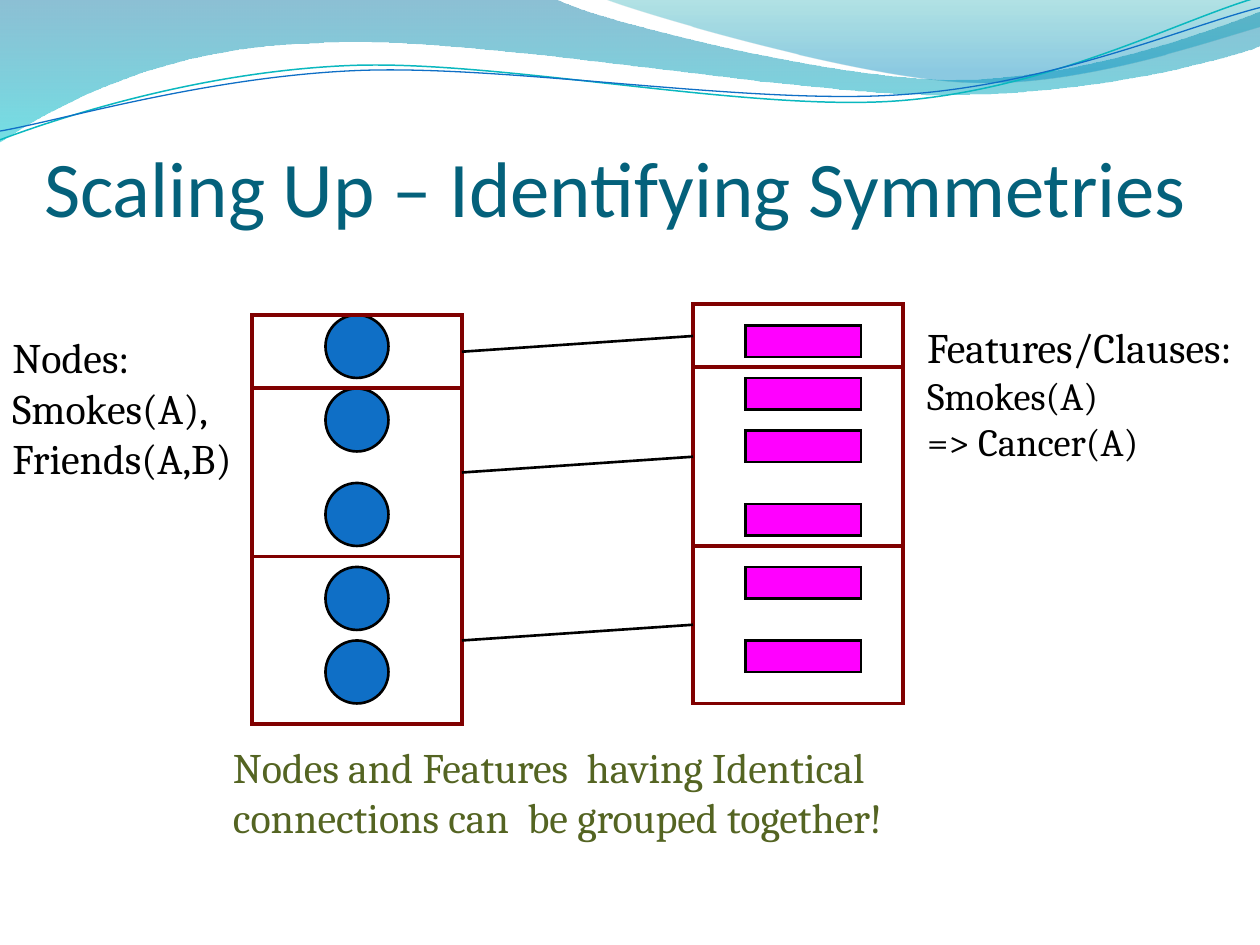
import math

from lxml import etree
from pptx import Presentation
from pptx.dml.color import RGBColor
from pptx.enum.shapes import MSO_CONNECTOR, MSO_SHAPE
from pptx.enum.text import MSO_ANCHOR, MSO_AUTO_SIZE, PP_ALIGN
from pptx.oxml.ns import qn
from pptx.util import Inches, Pt

STRAIGHT = MSO_CONNECTOR.STRAIGHT
ELLIPSE, RECTANGLE = MSO_SHAPE.OVAL, MSO_SHAPE.RECTANGLE

COLORS = {
    "title": "04617B", "text": "000000", "conclusion": "546422",
    "node": "0F6FC6", "feature": "FF00FF", "outline": "000000", "group": "800000",
    "teal line": "0AB8BF", "blue line": "0F6FC6",
    "band top": "0074A1", "band bottom": "00C6CF",
    "corner top": "00A1A9", "corner bottom": "008BBF",
}

TITLE = "Scaling Up – Identifying Symmetries"

# The diagram lies on a grid of twelfths of an inch
GRID = 1 / 12
GROUP_WIDTH = 20

# Each column, in grid units: group borders from top to bottom, then the tops of its items
COLUMNS = [
    {"left": 24, "borders": [30, 37, 53, 69], "shape": ELLIPSE, "color": "node",
     "item": (31, 6, 6), "tops": [46, 54, 37, 30, 61]},
    {"left": 66, "borders": [29, 35, 52, 67], "shape": RECTANGLE, "color": "feature",
     "item": (71, 11, 3), "tops": [36, 41, 48, 54, 61, 31]},
]

# Box (left, top, width, height) in inches, colour, lines of (text, size)
LABELS = [
    ((0, 31 * GRID, 2.08, 1.31), "text",
     [("Nodes:", 24), ("Smokes(A),", 24), ("Friends(A,B)", 24)]),
    ((7.26, 2.5, 2.74, 1.25), "text",
     [("Features/Clauses:", 24), ("Smokes(A)", 22), ("=> Cancer(A)", 22)]),
    ((1.75, 70 * GRID, 5.75, 0.91), "conclusion",
     [("Nodes and Features  having Identical", 24),
      ("connections can  be grouped together!", 24)]),
]

# Outlines: a 2-number step is a straight line, a 6-number step a Bezier curve
# Gradient stops: (position, colour, opacity in percent)
WAVES = [
    {"start": (0, 0),
     "steps": [(4.4, -0.01), (4.76, 0.17, 6.64, 0.63, 7.58, 0.63),
               (8.53, 0.63, 9.58, 0.26, 10, 0.09), (10.01, 0.36),
               (9.83, 0.44, 8.7, 0.76, 7.46, 0.75), (6.22, 0.75, 3.82, 0.28, 2.57, 0.34),
               (1.29, 0.36, 0.46, 0.83, -0.01, 1.13), (0, 0)],
     "stops": [(0, "band top", 45), (1, "band bottom", 55)]},
    {"start": (4.79, -0.01),
     "steps": [(5.09, 0.11, 6.82, 0.62, 7.69, 0.65), (8.56, 0.69, 9.61, 0.32, 10, 0.21),
               (10, 0), (4.79, -0.01)],
     "stops": [(0, "corner top", 30), (0.8, "corner bottom", 45)]},
    {"start": (0, 1.11),
     "steps": [(0.48, 0.93, 1.58, 0.57, 2.77, 0.52), (3.95, 0.47, 5.93, 0.89, 7.13, 0.8),
               (8.33, 0.71, 9.38, 0.15, 9.98, -0.02)],
     "line": ("teal line", 0.85), "center": (4.99, 0.575)},
    {"start": (0, 1.04),
     "steps": [(0.47, 0.96, 1.64, 0.61, 2.83, 0.56), (4.03, 0.51, 5.97, 0.84, 7.17, 0.75),
               (8.36, 0.67, 9.41, 0.21, 10, 0.06)],
     "line": ("blue line", 0.75), "center": (4.995, 0.59)},
]
LINE_TILT = -2.7


def rgb(name):
    return RGBColor.from_string(COLORS[name])


def grid_lengths(*units):
    return [Inches(unit * GRID) for unit in units]


def set_line(shape, color, width):
    shape.line.color.rgb = rgb(color)
    shape.line.width = Pt(width)


def rotate(point, center, degrees):
    angle = math.radians(degrees)
    x, y = point[0] - center[0], point[1] - center[1]
    return (center[0] + x * math.cos(angle) - y * math.sin(angle),
            center[1] + x * math.sin(angle) + y * math.cos(angle))


def bend_curves(shape, steps):
    """Turn each run of three segments that stands for a curve into a Bezier curve."""
    outline = next(shape.element.iter(qn("a:path")))
    segments = iter(outline.findall(qn("a:lnTo")))
    for step in steps:
        first = next(segments)
        if len(step) == 6:
            curve = etree.Element(qn("a:cubicBezTo"))
            first.addprevious(curve)
            for segment in (first, next(segments), next(segments)):
                curve.append(segment[0])
                outline.remove(segment)


def fill_gradient(shape, stops):
    shape.line.fill.background()
    shape.fill.gradient()
    shape.fill.gradient_angle = 270
    for stop, (position, color, _) in zip(shape.fill.gradient_stops, stops):
        stop.position = position
        stop.color.rgb = rgb(color)
    fills = shape.element.spPr.iter(qn("a:srgbClr"))
    for element, (_, _, opacity) in zip(fills, stops):
        etree.SubElement(element, qn("a:alpha"), val=str(opacity * 1000))


def add_wave(slide, wave):
    points = [wave["start"]]
    for step in wave["steps"]:
        points += zip(step[::2], step[1::2])
    if "center" in wave:
        points = [rotate(point, wave["center"], -LINE_TILT) for point in points]
    points = [(Inches(x), Inches(y)) for x, y in points]
    builder = slide.shapes.build_freeform(*points[0])
    builder.add_line_segments(points[1:], close="stops" in wave)
    shape = builder.convert_to_shape()
    shape.shadow.inherit = False
    bend_curves(shape, wave["steps"])
    if "stops" in wave:
        fill_gradient(shape, wave["stops"])
    else:
        shape.rotation = LINE_TILT
        shape.fill.background()
        set_line(shape, *wave["line"])


def add_box(slide, kind, box, line, fill=None):
    shape = slide.shapes.add_shape(kind, *grid_lengths(*box))
    shape.shadow.inherit = False
    if fill:
        shape.fill.solid()
        shape.fill.fore_color.rgb = rgb(fill)
    else:
        shape.fill.background()
    set_line(shape, *line)
    etree.SubElement(shape.element.spPr.find(qn("a:ln")), qn("a:miter"), lim="800000")


def add_column(slide, column):
    left, width, height = column["item"]
    for top in column["tops"]:
        add_box(slide, column["shape"], (left, top, width, height),
                ("outline", 1.5), column["color"])
    for top, bottom in zip(column["borders"], column["borders"][1:]):
        add_box(slide, RECTANGLE, (column["left"], top, GROUP_WIDTH, bottom - top),
                ("group", 2.25))


def group_middles(column):
    borders = column["borders"]
    return [(top + bottom) / 2 for top, bottom in zip(borders, borders[1:])]


def add_links(slide, nodes, features):
    """Join the middles of matching groups."""
    for start, end in zip(group_middles(nodes), group_middles(features)):
        ends = grid_lengths(nodes["left"] + GROUP_WIDTH, start, features["left"], end)
        connector = slide.shapes.add_connector(STRAIGHT, *ends)
        set_line(connector, "outline", 1.5)
        etree.SubElement(connector.element.spPr, qn("a:effectLst"))


def write(paragraph, text, size, font, color):
    run = paragraph.add_run()
    run.text = text
    run.font.size, run.font.name = Pt(size), font
    run.font.color.rgb = rgb(color)


def fill_title(title):
    box = {"left": 0.35, "top": 1, "width": 9.67, "height": 0.85}
    for name, value in box.items():
        setattr(title, name, Inches(value))
    frame = title.text_frame
    frame_format = {"margin_left": 0, "margin_right": 0, "margin_top": Inches(0.05),
                    "margin_bottom": 0, "vertical_anchor": MSO_ANCHOR.BOTTOM,
                    "auto_size": MSO_AUTO_SIZE.NONE}
    for name, value in frame_format.items():
        setattr(frame, name, value)
    frame.paragraphs[0].alignment = PP_ALIGN.LEFT
    write(frame.paragraphs[0], TITLE, 45, "Calibri", "title")


def add_label(slide, box, color, lines):
    frame = slide.shapes.add_textbox(*map(Inches, box)).text_frame
    frame.word_wrap = True
    frame.auto_size = MSO_AUTO_SIZE.SHAPE_TO_FIT_TEXT
    for index, (text, size) in enumerate(lines):
        paragraph = frame.add_paragraph() if index else frame.paragraphs[0]
        write(paragraph, text, size, "Cambria", color)


def main():
    presentation = Presentation()
    presentation.slide_width, presentation.slide_height = Inches(10), Inches(7.5)
    slide = presentation.slides.add_slide(presentation.slide_layouts[5])
    title = slide.shapes.title
    for wave in WAVES:
        add_wave(slide, wave)
    slide.shapes.element.append(title.element)
    fill_title(title)
    for column in COLUMNS:
        add_column(slide, column)
    add_links(slide, *COLUMNS)
    for label in LABELS:
        add_label(slide, *label)
    presentation.save("out.pptx")


if __name__ == "__main__":
    main()
